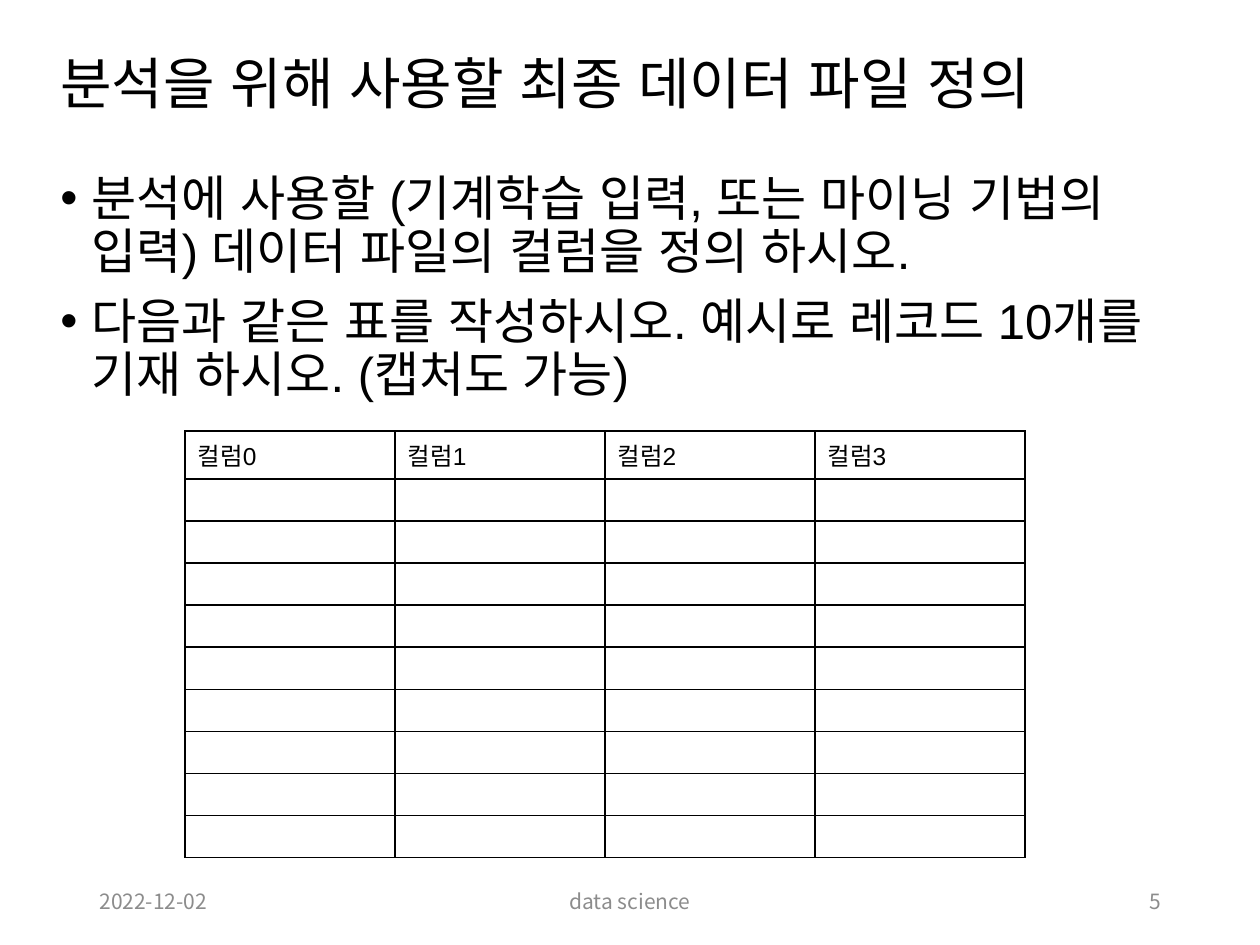
from lxml import etree
from pptx import Presentation
from pptx.dml.color import RGBColor
from pptx.enum.lang import MSO_LANGUAGE_ID
from pptx.enum.text import MSO_ANCHOR, PP_ALIGN
from pptx.oxml.ns import qn
from pptx.util import Emu, Pt

LEFT, CENTER, RIGHT = PP_ALIGN.LEFT, PP_ALIGN.CENTER, PP_ALIGN.RIGHT
TOP, MIDDLE = MSO_ANCHOR.TOP, MSO_ANCHOR.MIDDLE
KOREAN = MSO_LANGUAGE_ID.KOREAN
HANGUL_FONT = "Noto Sans CJK KR"
BLACK, GRAY = "000000", "8C8C8C"

TITLE = "분석을 위해 사용할 최종 데이터 파일 정의"
BULLETS = [
    "분석에 사용할 (기계학습 입력, 또는 마이닝 기법의 입력) 데이터 파일의 컬럼을 정의 하시오.",
    "다음과 같은 표를 작성하시오. 예시로 레코드 10개를 기재 하시오. (캡처도 가능)",
]
FOOTERS = [
    (87, 284, "2022-12-02", LEFT),
    (417, 426, "data science", CENTER),
    (890, 284, "5", RIGHT),
]
HEADERS = ["컬럼0", "컬럼1", "컬럼2", "컬럼3"]
ROW_COUNT = 10


def px(length):
    return Emu(round(length * 914400 / 126))


def color(value):
    return RGBColor.from_string(value)


def style_font(para, name, size, ink):
    for span in para.runs:
        font = span.font
        font.size, font.name, font.language_id = Pt(size), name, KOREAN
        font.color.rgb = color(ink)
        etree.SubElement(font._element, qn("a:ea"), typeface=HANGUL_FONT)


def add_text(page, at, lines, name, size, ink=BLACK, align=LEFT, anchor=MIDDLE):
    box = page.shapes.add_textbox(*map(px, at))
    frame = box.text_frame
    frame.word_wrap = True
    frame.vertical_anchor = anchor
    frame.text = "\n".join(lines)
    for para in frame.paragraphs:
        para.alignment = align
        style_font(para, name, size, ink)
    return frame.paragraphs


def add_bullet(para):
    para.space_before = Pt(10)
    properties = para._p.get_or_add_pPr()
    properties.set("marL", str(Pt(18)))
    properties.set("indent", str(-Pt(18)))
    etree.SubElement(properties, qn("a:buFont"), typeface="Arial")
    etree.SubElement(properties, qn("a:buChar"), char="•")


def outline_cell(cell):
    properties = cell._tc.get_or_add_tcPr()
    for side in ("lnL", "lnR", "lnT", "lnB"):
        line = etree.SubElement(properties, qn(f"a:{side}"), w=str(Pt(1)))
        fill = etree.SubElement(line, qn("a:solidFill"))
        etree.SubElement(fill, qn("a:srgbClr"), val=BLACK)
    cell.fill.background()


def size_empty_cell(cell, name, size):
    """Set the font of a cell without text, which decides its least height."""
    ending = etree.SubElement(cell.text_frame.paragraphs[0]._p,
                              qn("a:endParaRPr"), sz=str(size * 100))
    etree.SubElement(ending, qn("a:latin"), typeface=name)


def add_column_table(page):
    frame = page.shapes.add_table(ROW_COUNT, len(HEADERS), px(185), px(431),
                                  px(840), px(410))
    table = frame.table
    table.first_row = table.horz_banding = False
    for column in table.columns:
        column.width = px(210)
    for index, row in enumerate(table.rows):
        row.height = px(40 if index else 48)
        for cell, header in zip(row.cells, HEADERS):
            outline_cell(cell)
            if index:
                size_empty_cell(cell, "Arial", 14)
            else:
                cell.text = header
                style_font(cell.text_frame.paragraphs[0], "Arial", 14, BLACK)


def main():
    deck = Presentation()
    deck.slide_width, deck.slide_height = px(1260), px(945)
    page = deck.slides.add_slide(deck.slide_layouts[6])

    title = add_text(page, (48, 37, 1166, 98), [TITLE], "Montserrat", 32)
    body = add_text(page, (48, 168, 1166, 683), BULLETS, "Arial", 28, anchor=TOP)
    for para in title + body:
        para.line_spacing = 0.9
    for para in body:
        add_bullet(para)
    for left, width, text, align in FOOTERS:
        add_text(page, (left, 876, width, 50), [text], HANGUL_FONT, 12, GRAY, align)
    add_column_table(page)

    deck.save("out.pptx")


if __name__ == "__main__":
    main()
